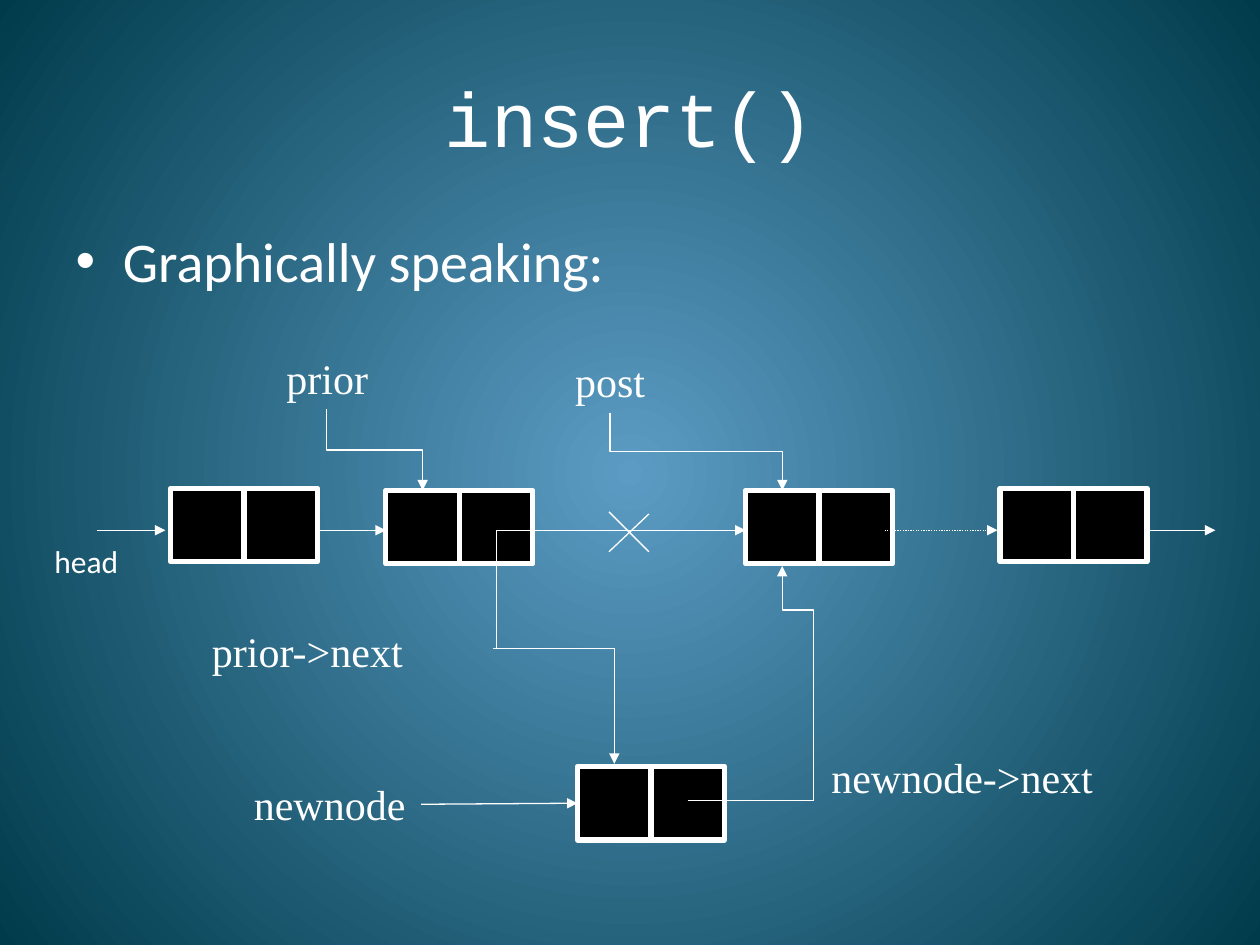
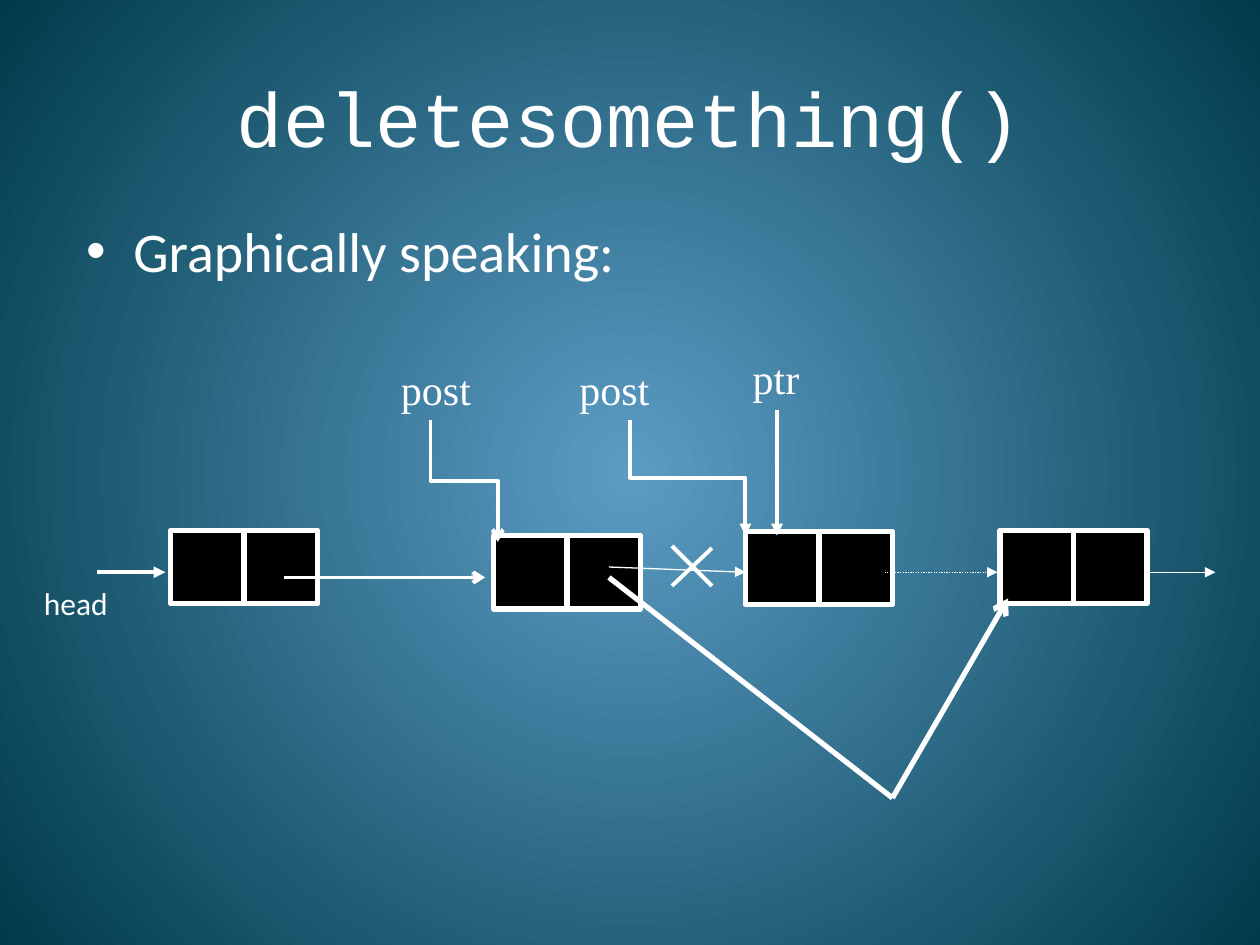
from dataclasses import dataclass

from lxml import etree
from pptx import Presentation
from pptx import util as u
from pptx.dml.color import RGBColor
from pptx.enum import dml, shapes, text
from pptx.oxml.ns import qn


@dataclass(frozen=True)
class Theme:
    ink: str = "FFFFFF"
    cell: str = "000000"
    glow: str = "5C9CC4"
    edge: str = "003B4B"
    code: str = "Courier New"
    sans: str = "Calibri"
    serif: str = "Times New Roman"
    title: float = 44
    body: float = 32
    label: float = 24
    small: float = 18
    thin: float = 0.75
    bold: float = 2.25
    heavy: float = 3


T = Theme()
COLS, ROWS = 120, 90
WIDE, HIGH = u.Inches(10), u.Inches(7.5)
CELL = 7  # side of one node cell, in grid steps


# Grid and text helpers
def col(n):
    return round(WIDE * n / COLS)


def row(n):
    return round(HIGH * n / ROWS)


def rgb(code):
    return RGBColor.from_string(code)


def add_run(par, words, font, size):
    run = par.add_run()
    run.text = words
    run.font.name = font
    run.font.size = u.Pt(size)
    run.font.color.rgb = rgb(T.ink)


# Shared backdrop: a round glow on the master
def paint(master):
    fill = master.background.fill
    fill.gradient()
    for stop, code in zip(fill.gradient_stops, (T.glow, T.edge)):
        stop.color.rgb = rgb(code)
    grad = master.element.find(".//" + qn("a:gradFill"))
    grad.remove(grad.find(qn("a:lin")))
    ring = etree.SubElement(grad, qn("a:path"), {"path": "circle"})
    etree.SubElement(ring, qn("a:fillToRect"), dict.fromkeys("ltrb", "50000"))


# Slide with its title and one bullet
def add_page(prs, title, left, top):
    page = prs.slides.add_slide(prs.slide_layouts[1])
    head, body = page.placeholders
    places = (
        (head, 6, 3.6, 15, title, T.code, T.title),
        (body, left, top, 12, "Graphically speaking:", T.sans, T.body),
    )
    for box, x, y, high, words, font, size in places:
        box.left, box.top = col(x), row(y)
        box.width, box.height = col(108), row(high)
        add_run(box.text_frame.paragraphs[0], words, font, size)
    return page


# List node: two joined cells
def add_node(page, x, y):
    group = page.shapes.add_group_shape()
    for i in range(2):
        box = group.shapes.add_shape(
            shapes.MSO_SHAPE.RECTANGLE, col(x + i * CELL), row(y), col(CELL), row(CELL))
        box.shadow.inherit = False
        box.fill.solid()
        box.fill.fore_color.rgb = rgb(T.cell)
        box.line.color.rgb = rgb(T.ink)
        box.line.width = u.Pt(T.heavy)


def add_label(page, words, x, y, wide, font=T.serif, size=T.label, wrap=False):
    box = page.shapes.add_textbox(col(x), row(y), col(wide), row(size / 4))
    frame = box.text_frame
    frame.word_wrap = wrap
    frame.auto_size = text.MSO_AUTO_SIZE.SHAPE_TO_FIT_TEXT
    add_run(frame.paragraphs[0], words, font, size)


# Lines
def style(link, width, tip, dots=False):
    link.line.color.rgb = rgb(T.ink)
    link.line.width = u.Pt(width)
    if dots:
        link.line.dash_style = dml.MSO_LINE.ROUND_DOT
    if tip:
        etree.SubElement(link.line._get_or_add_ln(), qn("a:tailEnd"), {"type": tip})
    etree.SubElement(link._element.spPr, qn("a:effectLst"))


def add_line(host, start, end, width=T.thin, tip="triangle", dots=False):
    link = host.shapes.add_connector(
        shapes.MSO_CONNECTOR.STRAIGHT, col(start[0]), row(start[1]), col(end[0]), row(end[1]))
    style(link, width, tip, dots)


def add_bend(page, start, end, width=T.thin, tip="triangle", turns=(50000,)):
    """Elbow that leaves its start vertically: a mirrored box on its side."""
    (x1, y1), (x2, y2) = start, end
    wide, high = abs(y2 - y1), abs(x2 - x1)
    left, top = (x1 + x2 - wide) / 2, (y1 + y2 - high) / 2
    link = page.shapes.add_connector(
        shapes.MSO_CONNECTOR.ELBOW, col(left), row(top), col(left + wide), row(top + high))
    spot = link._element.spPr.find(qn("a:xfrm"))
    spot.set("rot", str((270 if y2 > y1 else 90) * 60000))
    spot.set("flipH", "1")
    geom = link._element.spPr.find(qn("a:prstGeom"))
    geom.set("prst", f"bentConnector{len(turns) + 2}")
    guides = geom.get_or_add_avLst()
    for i, turn in enumerate(turns, 1):
        etree.SubElement(guides, qn("a:gd"), {"name": f"adj{i}", "fmla": f"val {turn}"})
    style(link, width, tip)


def add_cross(page, x, y, width):
    group = page.shapes.add_group_shape()
    add_line(group, (x, y), (x + 3.8, y + 3.8), width, None)
    add_line(group, (x, y + 3.8), (x + 3.8, y + 0.2), width, None)


# Parts that both lists have, set on the arrow row y
def add_list(page, y, mids, width, head):
    for x, top in ((16.25, y - 4), *mids, (95.25, y - 4)):
        add_node(page, x, top)
    add_line(page, (9.25, y), (15.75, y), width)
    add_line(page, (84.25, y), (95, y), dots=True)
    add_line(page, (109.25, y), (115.75, y))
    add_label(page, "head", head, y + 0.5, 8.6, T.sans, T.small)


def draw_insert(prs):
    page = add_page(prs, "insert()", 6, 21)
    y = 50.5
    add_list(page, y, ((36.75, 46.7), (71, 46.7)), T.thin, 4)
    add_node(page, 55, 73)
    for words, x, top, wide in (
        ("prior", 26.1, 33, 10.3), ("post", 53.6, 33.3, 9.1), ("newnode", 23, 73.6, 17),
        ("prior->next", 19, 59, 20.8), ("newnode->next", 78, 71, 27.6),
    ):
        add_label(page, words, x, top, wide)
    # Old links, the middle one crossed out
    add_line(page, (30.25, y), (36.75, y))
    add_line(page, (47.25, y), (71, y))
    add_cross(page, 58, 48.75, T.thin)
    # Pointers
    add_bend(page, (31.1, 39), (40.25, 46.7))
    add_bend(page, (58.1, 39.3), (74.5, 46.7))
    add_line(page, (40.1, 76.6), (55, 76.5))
    # New links
    add_bend(page, (47.25, y), (58.5, 72.75), turns=(50500, -2400, 50600))
    add_line(page, (65.5, 76.25), (77.5, 76.25), tip=None)
    add_line(page, (77.5, 76.25), (77.5, 62.5), tip=None)
    add_bend(page, (77.5, 62.5), (74.5, 53.9), turns=(51400,))


def draw_delete(prs):
    page = add_page(prs, "deletesomething()", 7, 20)
    add_list(page, 54.5, ((47, 51), (71, 50.6)), T.bold, 3)
    for words, x, top, wide in (("post", 37, 34, 21), ("post", 54, 34, 12.5), ("ptr", 70.5, 33, 7)):
        add_label(page, words, x, top, wide, wrap=True)
    # Old links, the middle one crossed out
    add_line(page, (27, 55), (46.2, 55), T.bold, "arrow")
    add_line(page, (58, 54), (71, 54.5))
    add_cross(page, 64, 52, T.bold)
    # Pointers
    add_bend(page, (41, 40), (47.4, 51.6), T.bold, "arrow")
    add_bend(page, (60, 40), (71, 51), T.bold)
    add_line(page, (74, 39), (74, 51), T.bold)
    # Bypass
    add_line(page, (58, 55), (85, 76), T.heavy, None)
    add_line(page, (85, 76), (96, 57), T.heavy, "arrow")


def main():
    prs = Presentation()
    prs.slide_width, prs.slide_height = WIDE, HIGH
    paint(prs.slide_master)
    draw_insert(prs)
    draw_delete(prs)
    prs.save("out.pptx")


if __name__ == "__main__":
    main()
